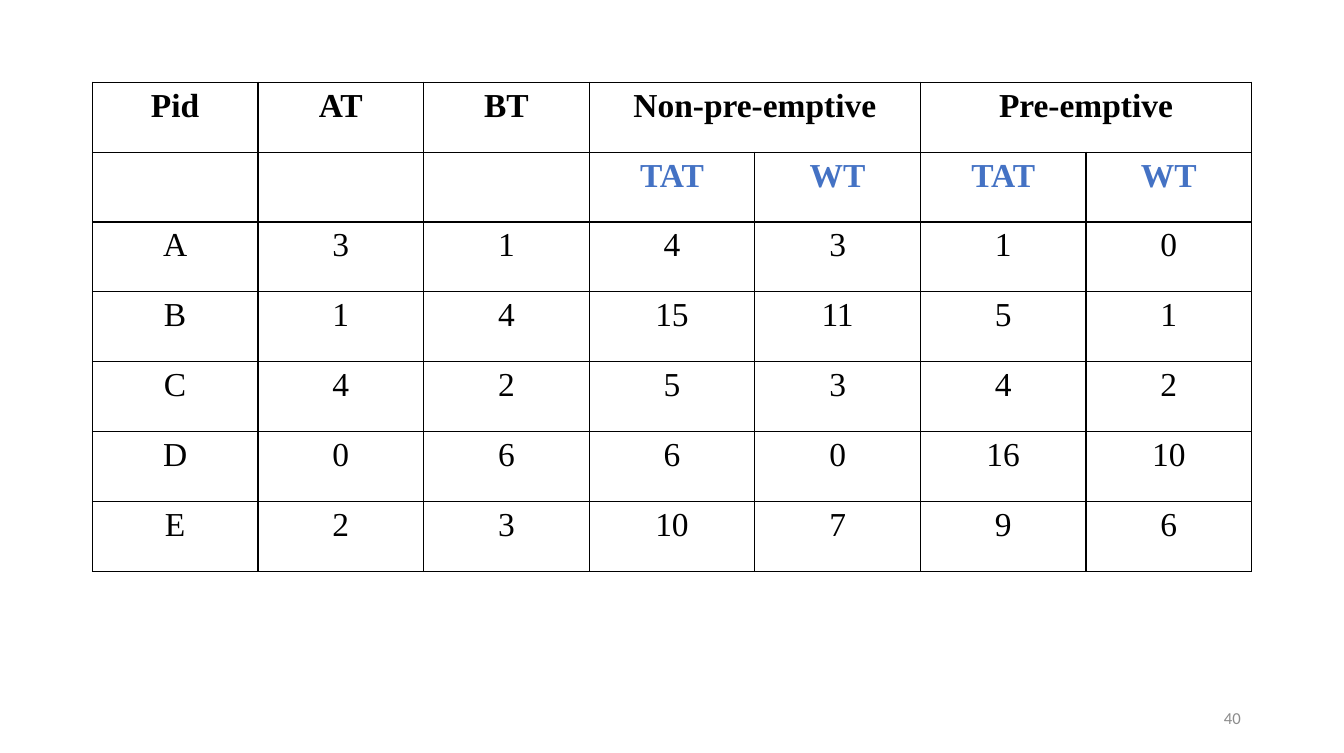
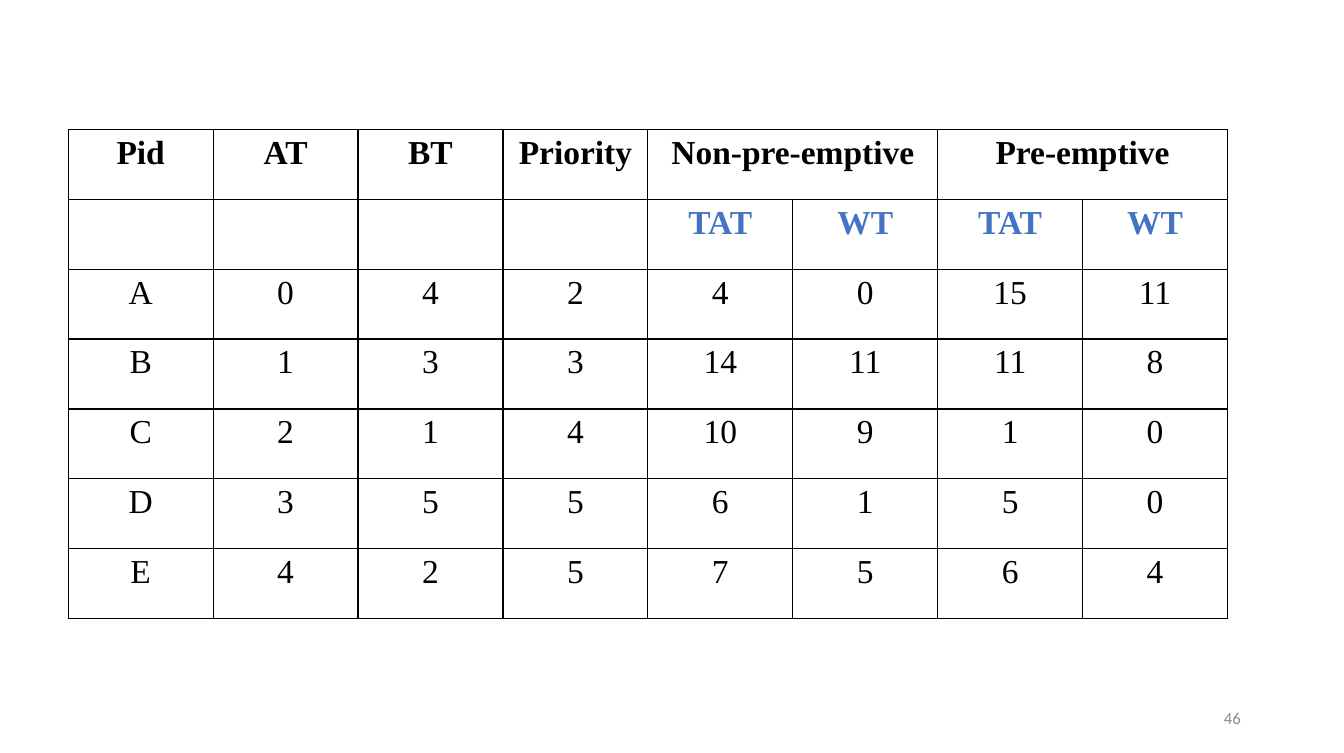
from dataclasses import dataclass

from lxml.etree import SubElement
from pptx import Presentation
from pptx.dml.color import RGBColor
from pptx.enum.text import MSO_ANCHOR, PP_ALIGN
from pptx.oxml.ns import qn
from pptx.slide import Slide
from pptx.table import _Cell as Cell
from pptx.text.text import _Paragraph as Paragraph
from pptx.util import Emu, Pt

PX = 9144
COLORS = {"text": "000000", "accent": "4472C4", "number": "8C8C8C", "border": "000000"}
TABLE_FONT, NUMBER_FONT = "Times New Roman", "Calibri"
TABLE_W, TABLE_H = 1155, 487
GROUPS = ["Non-pre-emptive", "Pre-emptive"]
MEASURES = ["TAT", "WT"]


@dataclass(frozen=True)
class Schedule:
    number: str
    left: int
    top: int
    inputs: list[str]
    processes: list[str]


SCHEDULES = [
    Schedule("40", 92, 82, ["Pid", "AT", "BT"],
             ["A 3 1 4 3 1 0", "B 1 4 15 11 5 1", "C 4 2 5 3 4 2",
              "D 0 6 6 0 16 10", "E 2 3 10 7 9 6"]),
    Schedule("46", 68, 129, ["Pid", "AT", "BT", "Priority"],
             ["A 0 4 2 4 0 15 11", "B 1 3 3 14 11 11 8", "C 2 1 4 10 9 1 0",
              "D 3 5 5 6 1 5 0", "E 4 2 5 7 5 6 4"]),
]


def px(n: float) -> Emu:
    return Emu(round(n * PX))


def style(p: Paragraph, font: str, size: int, color: str, align: PP_ALIGN,
          bold: bool = False) -> None:
    p.alignment = align
    p.font.name = font
    p.font.size = Pt(size)
    p.font.bold = bold
    p.font.color.rgb = RGBColor.from_string(COLORS[color])


def set_borders(cell: Cell) -> None:
    tc_pr = cell._tc.get_or_add_tcPr()
    for side in ("lnL", "lnR", "lnT", "lnB"):
        ln = SubElement(tc_pr, qn(f"a:{side}"), w=str(Pt(1)))
        fill = SubElement(ln, qn("a:solidFill"))
        SubElement(fill, qn("a:srgbClr"), val=COLORS["border"])


def add_schedule(s: Slide, schedule: Schedule) -> None:
    first = len(schedule.inputs)
    span = len(MEASURES)
    header = schedule.inputs + [t for g in GROUPS for t in [g] + [""] * (span - 1)]
    measures = [""] * first + MEASURES * len(GROUPS)
    rows = [header, measures] + [line.split() for line in schedule.processes]

    table = s.shapes.add_table(len(rows), len(header), px(schedule.left), px(schedule.top),
                               px(TABLE_W), px(TABLE_H)).table
    table.first_row = table.horz_banding = False
    for col in table.columns:
        col.width = px(TABLE_W / len(header))
    for row in table.rows:
        row.height = px(TABLE_H / len(rows))

    for i, row in enumerate(rows):
        for j, text in enumerate(row):
            cell = table.cell(i, j)
            cell.text = text
            set_borders(cell)
            cell.fill.background()
            style(cell.text_frame.paragraphs[0], TABLE_FONT, 24,
                  "accent" if i == 1 else "text", PP_ALIGN.CENTER, bold=i < 2)
    for j in range(first, len(header), span):
        table.cell(0, j).merge(table.cell(0, j + span - 1))


def add_number(s: Slide, number: str) -> None:
    tf = s.shapes.add_textbox(px(945), px(695), px(301), px(40)).text_frame
    tf.word_wrap = True
    tf.vertical_anchor = MSO_ANCHOR.MIDDLE
    tf.text = number
    style(tf.paragraphs[0], NUMBER_FONT, 12, "number", PP_ALIGN.RIGHT)


def main() -> None:
    prs = Presentation()
    prs.slide_width, prs.slide_height = px(1339), px(750)
    for schedule in SCHEDULES:
        s = prs.slides.add_slide(prs.slide_layouts[6])
        add_schedule(s, schedule)
        add_number(s, schedule.number)
    prs.save("out.pptx")


if __name__ == "__main__":
    main()
